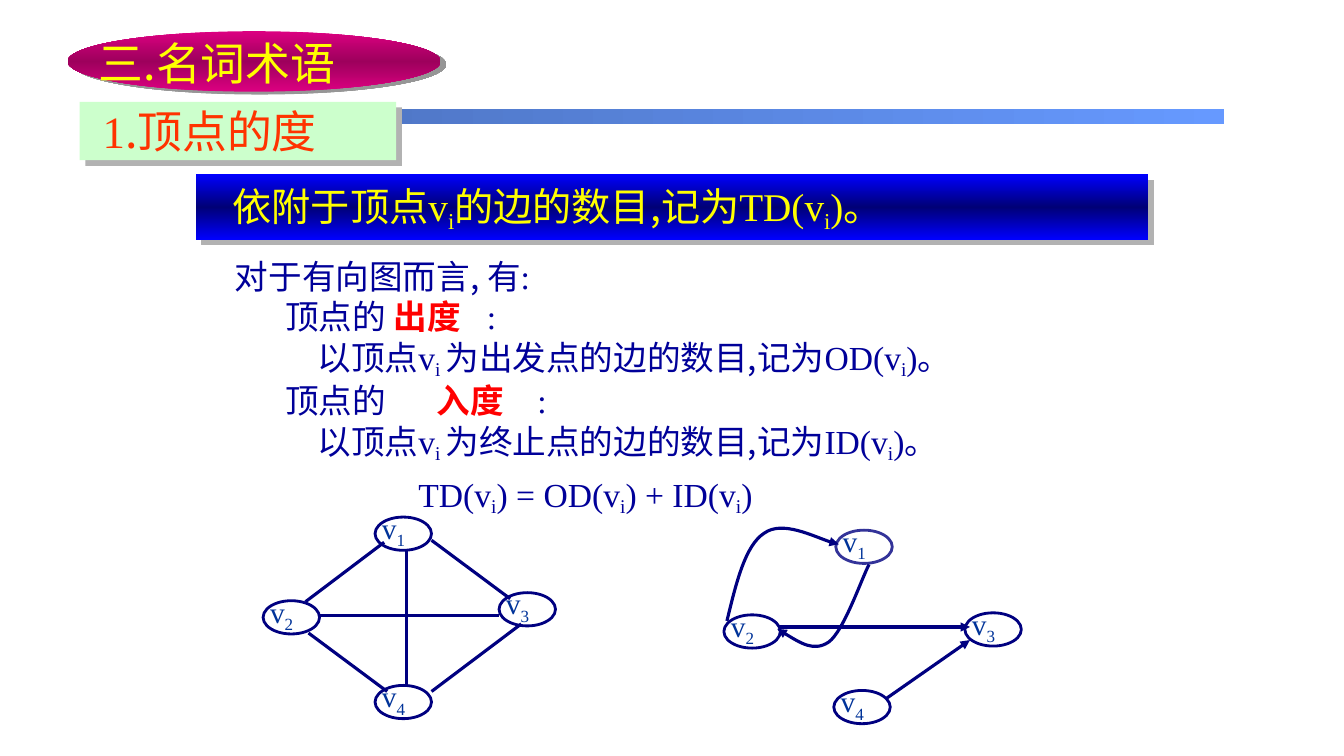
from lxml import etree
from pptx import Presentation
from pptx import util as u
from pptx.dml.color import RGBColor
from pptx.enum import shapes, text
from pptx.oxml import ns

PX = 9144  # 100 px to the inch


class Theme:
    latin, cjk = "Times New Roman", "Noto Sans CJK SC"
    yellow, orange, red = "FFFF00", "FF3300", "FF0000"
    ink, label, edge, pale_edge = "000099", "003399", "000080", "333399"
    green, shade, oval_shade = "CCFFCC", "B2B2B2", "969696"
    bar = [(0, "496DB6"), (100, "6699FF")]
    banner = [(0, "0000FF"), (50, "000076"), (100, "0000FF")]
    oval = [(0, "DC0081"), (50, "9D005C"), (100, "DC0081")]
    heading, banner_size, body, node = 32, 28, 24, 21


def px(*values):
    return [u.Emu(round(value * PX)) for value in values]


def set_values(target, values):
    for name, value in values.items():
        setattr(target, name, value)


def add_xml(parent, tag, **attributes):
    return etree.SubElement(parent, ns.qn(tag), {k: str(v) for k, v in attributes.items()})


# Text: a run is (words, kind), where kind is cjk, latin, key or a subscript percentage
def write_runs(paragraph, runs, size, color):
    for words, kind in runs:
        run = paragraph.add_run()
        run.text = words
        key = kind == "key"
        set_values(run.font, {"size": u.Pt(size), "bold": key,
                              "name": Theme.cjk if kind in ("cjk", "key") else Theme.latin})
        run.font.color.rgb = RGBColor.from_string(Theme.red if key else color)
        properties = run._r.get_or_add_rPr()
        add_xml(properties, "a:ea", typeface=Theme.cjk)
        if isinstance(kind, int):
            properties.set("baseline", str(-kind * 1000))


def write_text(shape, lines, size, color, wrap=True):
    """Each line is (indent px, tab stops px, space before pt, runs)."""
    frame = shape.text_frame
    set_values(frame, {"word_wrap": wrap, "auto_size": text.MSO_AUTO_SIZE.NONE,
                       "vertical_anchor": text.MSO_ANCHOR.TOP})
    for index, (indent, stops, before, runs) in enumerate(lines):
        paragraph = frame.add_paragraph() if index else frame.paragraphs[0]
        set_values(paragraph, {"alignment": text.PP_ALIGN.LEFT, "line_spacing": 1.0,
                               "space_before": u.Pt(before), "space_after": u.Pt(0)})
        properties = paragraph._p.get_or_add_pPr()
        properties.set("marL", str(indent * PX))
        properties.set("indent", "0")
        add_xml(properties, "a:buNone")
        if stops:
            tabs = add_xml(properties, "a:tabLst")
            for stop in stops:
                add_xml(tabs, "a:tab", pos=stop * PX, algn="l")
        write_runs(paragraph, runs, size, color)


def add_text(slide, box, runs, size, color, indent=0, wrap=True):
    shape = slide.shapes.add_textbox(*px(*box))
    write_text(shape, [(indent, (), 0, runs)], size, color, wrap)


def place(shape, box):
    set_values(shape, dict(zip(("left", "top", "width", "height"), px(*box))))
    shape.element.getparent().append(shape.element)


# Shapes
def add_panel(slide, kind, box, fill, angle=0, shadow=None):
    panel = slide.shapes.add_shape(kind, *px(*box))
    panel.shadow.inherit = False
    panel.line.fill.background()
    if isinstance(fill, str):
        panel.fill.solid()
        panel.fill.fore_color.rgb = RGBColor.from_string(fill)
    else:
        panel.fill.gradient()
        panel.fill.gradient_angle = angle
        stops = panel.element.spPr.find(".//" + ns.qn("a:gsLst"))
        for stop in list(stops):
            stops.remove(stop)
        for position, color in fill:
            add_xml(add_xml(stops, "a:gs", pos=position * 1000), "a:srgbClr", val=color)
    if shadow:
        color, distance, direction = shadow
        effects = panel.element.spPr.find(ns.qn("a:effectLst"))
        cast = add_xml(effects, "a:outerShdw", dist=u.Pt(distance), dir=direction * 60000,
                       algn="ctr", rotWithShape=0)
        add_xml(cast, "a:srgbClr", val=color)


def style_line(shape, width, color, arrow=None):
    shape.line.width = u.Pt(width)
    shape.line.color.rgb = RGBColor.from_string(color)
    if arrow:
        add_xml(shape.line._get_or_add_ln(), "a:" + arrow, type="triangle")


def add_node(slide, x, y, number, color=Theme.edge):
    node = slide.shapes.add_shape(shapes.MSO_SHAPE.OVAL, *px(x, y, 56, 33))
    node.shadow.inherit = False
    node.fill.background()
    style_line(node, 2, color)
    add_text(slide, (x - 3, y - 12, 45, 45), [("v", "latin"), (str(number), 25)],
             Theme.node, Theme.label, wrap=False)


def add_edge(slide, x1, y1, x2, y2, arrow=None):
    edge = slide.shapes.add_connector(shapes.MSO_CONNECTOR.STRAIGHT, *px(x1, y1, x2, y2))
    style_line(edge, 2.25, Theme.edge, arrow)
    add_xml(edge._element.spPr, "a:effectLst")


def add_curve(slide, points, arrow):
    builder = slide.shapes.build_freeform(*points[0], scale=PX)
    builder.add_line_segments(points[1:], close=False)
    curve = builder.convert_to_shape()
    curve.shadow.inherit = False
    curve.fill.background()
    style_line(curve, 2.25, Theme.edge, arrow)
    # Every three points become one cubic segment
    outline = curve.element.spPr.find(".//" + ns.qn("a:path"))
    segments = outline.findall(ns.qn("a:lnTo"))
    for start in range(0, len(segments), 3):
        cubic = add_xml(outline, "a:cubicBezTo")
        for segment in segments[start:start + 3]:
            cubic.append(segment[0])
            outline.remove(segment)


# Regions
def build_header(slide, x, y):
    add_panel(slide, shapes.MSO_SHAPE.RECTANGLE, (x + 44, y + 77, 1103, 15), Theme.bar)
    add_panel(slide, shapes.MSO_SHAPE.RECTANGLE, (x + 12, y + 70, 314, 58), Theme.green,
              shadow=(Theme.shade, 5.7, 45))
    add_text(slide, (x + 14, y + 67, 319, 64), [("1", "latin"), (".顶点的度", "cjk")],
             Theme.heading, Theme.orange, indent=11)
    add_panel(slide, shapes.MSO_SHAPE.OVAL, (x, y, 370, 60), Theme.oval, 90,
              (Theme.oval_shade, 4.5, 27))
    title = slide.shapes.title
    place(title, (x + 21, y - 1, 442, 64))
    write_text(title, [(0, (), 0, [("三.名词术语", "cjk")])], Theme.heading, Theme.yellow)


def build_banner(slide, x, y):
    add_panel(slide, shapes.MSO_SHAPE.RECTANGLE, (x, y, 945, 65), Theme.banner, 90,
              (Theme.shade, 5.7, 45))
    runs = [("依附于顶点", "cjk"), ("v", "latin"), ("i", 20), ("的边的数目,记为", "cjk"),
            ("TD(v", "latin"), ("i", 20), (")。", "latin")]
    add_text(slide, (x + 27, y + 3, 880, 57), runs, Theme.banner_size, Theme.yellow)


def build_definitions(slide, box):
    def degree(end, name):
        return [("以顶点v", "latin"), ("i ", 18), (f"为{end}点的边的数目,记为", "cjk"),
                (name + "(v", "latin"), ("i", 18), (")。", "latin")]

    formula = [("TD(v", "latin"), ("i", 18), (") = OD(v", "latin"), ("i", 18),
               (") + ID(v", "latin"), ("i", 18), (")", "latin")]
    lines = [
        (0, (), 0, [("对于有向图而言, 有", "cjk"), (":", "latin")]),
        (0, (15, 212), 0, [("\t顶点的 ", "cjk"), ("出度", "key"), ("\t:", "latin")]),
        (82, (), 0, degree("出发", "OD")),
        (0, (30, 145, 250), 0, [("\t顶点的\t", "cjk"), ("入度", "key"), ("\t:", "latin")]),
        (82, (), 0, degree("终止", "ID")),
        (182, (), 7.2, formula),
    ]
    body = slide.placeholders[1]
    place(body, box)
    write_text(body, lines, Theme.body, Theme.ink)


def build_undirected_graph(slide, x, y):
    for number, (dx, dy) in enumerate([(111, 0), (0, 83), (234, 75), (111, 167)], 1):
        add_node(slide, x + dx, y + dy, number)
    for x1, y1, x2, y2 in [(42, 84, 120, 25), (56, 98, 234, 98), (142, 34, 142, 167),
                           (167, 23, 245, 81), (167, 173, 256, 106), (45, 115, 123, 173)]:
        add_edge(slide, x + x1, y + y1, x + x2, y + y2)


def build_directed_graph(slide, x, y):
    add_node(slide, x + 111, y, 1, Theme.pale_edge)
    for number, (dx, dy) in enumerate([(0, 84), (239, 82), (109, 159)], 2):
        add_node(slide, x + dx, y + dy, number)
    for x1, y1, x2, y2 in [(55, 96, 244, 96), (161, 167, 244, 109)]:
        add_edge(slide, x + x1, y + y1, x + x2, y + y2, "tailEnd")
    for arrow, points in [
        ("tailEnd", [(3, 90), (12, 53), (21, 15), (40, 3), (58, -10), (101, 12), (114, 14)]),
        ("headEnd", [(53, 98), (71, 109), (89, 121), (104, 111), (119, 100), (137, 47), (144, 34)]),
    ]:
        add_curve(slide, [(x + dx, y + dy) for dx, dy in points], arrow)


def main():
    presentation = Presentation()
    presentation.slide_width, presentation.slide_height = px(1333, 750)
    slide = presentation.slides.add_slide(presentation.slide_layouts[1])
    build_header(slide, 67, 31)
    build_banner(slide, 194, 173)
    build_definitions(slide, (223, 249, 1032, 265))
    build_undirected_graph(slide, 261, 513)
    build_directed_graph(slide, 718, 526)
    presentation.save("out.pptx")


if __name__ == "__main__":
    main()
